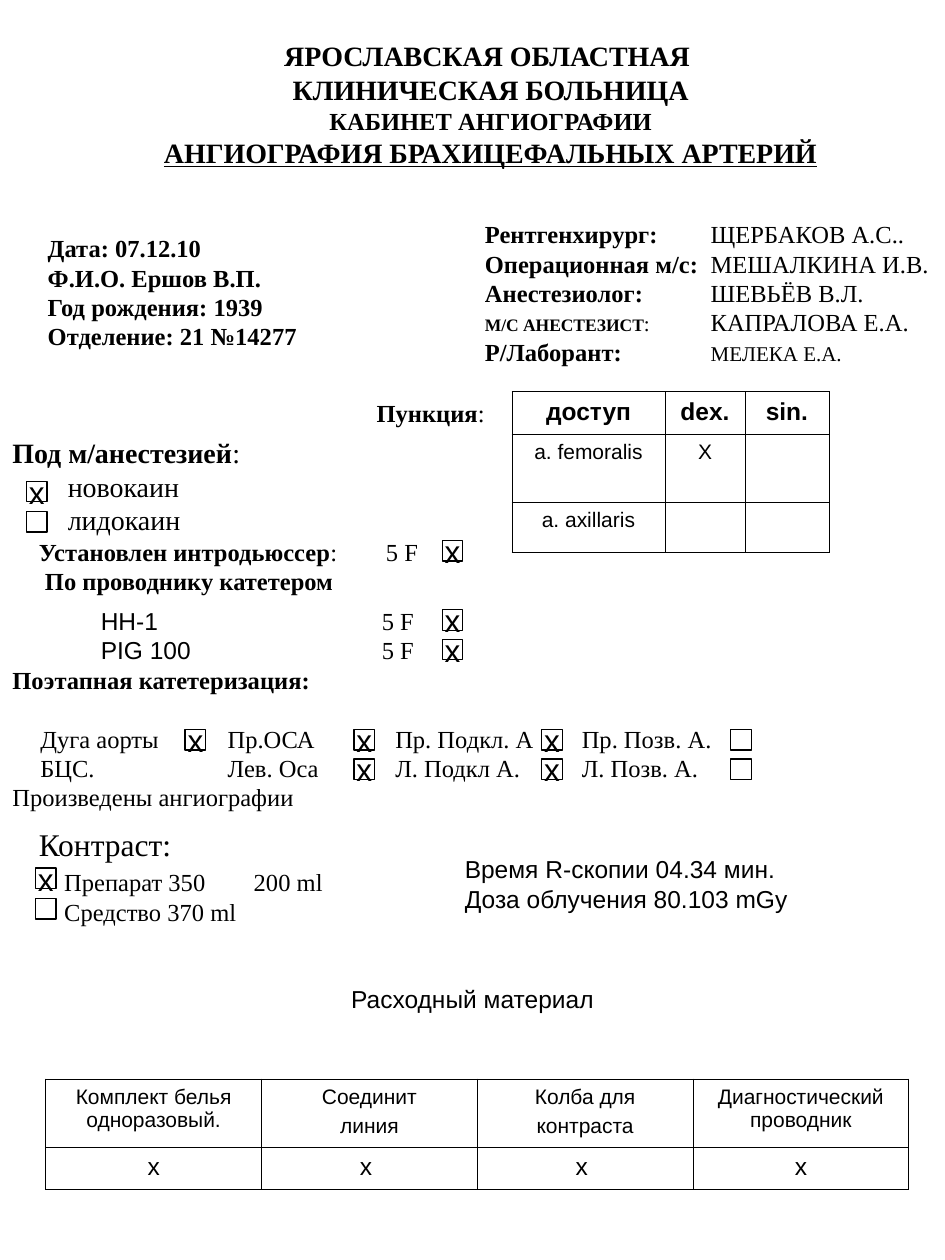
from lxml.etree import SubElement
from pptx import Presentation
from pptx.dml.color import RGBColor
from pptx.enum.shapes import MSO_SHAPE
from pptx.enum.text import MSO_ANCHOR, PP_ALIGN
from pptx.oxml.ns import qn
from pptx.util import Pt

SERIF, SANS, BLACK = "Times New Roman", "Arial", "000000"
MARK = 11.8  # side of a tick box
ROW = 16.8   # line height of 14 pt text


def color(hex_text):
    return RGBColor.from_string(hex_text)


def style(run, size, face=SERIF, bold=False):
    font = run.font
    font.size, font.name, font.bold = Pt(size), face, bold
    font.color.rgb = color(BLACK)


def set_tabs(para, stops):
    tab_list = SubElement(para._p.get_or_add_pPr(), qn("a:tabLst"))
    for stop in stops:
        SubElement(tab_list, qn("a:tab"), pos=str(Pt(stop)), algn="l")


def add_text(slide, box, lines, tabs=(), align=PP_ALIGN.LEFT):
    """Each line is a list of (text, size, face, bold) runs."""
    frame = slide.shapes.add_textbox(*map(Pt, box)).text_frame
    frame.word_wrap = True
    for i, line in enumerate(lines):
        para = frame.add_paragraph() if i else frame.paragraphs[0]
        if tabs:
            set_tabs(para, tabs)
        para.alignment = align
        para.line_spacing = Pt(1.2 * max(part[1] for part in line))
        for text, *look in line:
            run = para.add_run()
            run.text = text
            style(run, *look)
    return frame


def add_mark(slide, x, y, ticked=True):
    shape = slide.shapes.add_shape(MSO_SHAPE.RECTANGLE, Pt(x), Pt(y), Pt(MARK), Pt(MARK))
    shape.shadow.inherit = False
    shape.fill.background()
    shape.line.color.rgb = color(BLACK)
    shape.line.width = Pt(0.75)
    if ticked:
        frame = shape.text_frame
        frame.word_wrap = False
        frame.vertical_anchor = MSO_ANCHOR.MIDDLE
        frame.text = "х"
        frame.paragraphs[0].alignment = PP_ALIGN.CENTER
        style(frame.paragraphs[0].runs[0], 18, SANS)


def add_edges(cell):
    props = cell._tc.get_or_add_tcPr()
    for side in ("lnL", "lnR", "lnT", "lnB"):
        line = SubElement(props, qn(f"a:{side}"), w=str(Pt(0.45)))
        SubElement(SubElement(line, qn("a:solidFill")), qn("a:srgbClr"), val=BLACK)
    cell.fill.background()


def add_grid(slide, x, y, widths, heights, rows, sizes, bold_head=False):
    table = slide.shapes.add_table(len(heights), len(widths), Pt(x), Pt(y),
                                   Pt(sum(widths)), Pt(sum(heights))).table
    table.first_row = table.horz_banding = False
    for col, width in zip(table.columns, widths):
        col.width = Pt(width)
    for r, (height, texts) in enumerate(zip(heights, rows)):
        table.rows[r].height = Pt(height)
        for c, text in enumerate(texts):
            cell = table.cell(r, c)
            add_edges(cell)
            cell.text_frame.text = text
            for i, para in enumerate(cell.text_frame.paragraphs):
                para.alignment = PP_ALIGN.CENTER
                if i:
                    para.space_before = Pt(3)
                for run in para.runs:
                    style(run, sizes[r], SANS, bold_head and r == 0)


def add_title(slide, x, y, w, h):
    heads = [("ЯРОСЛАВСКАЯ ОБЛАСТНАЯ ", 16), ("КЛИНИЧЕСКАЯ БОЛЬНИЦА", 16),
             ("КАБИНЕТ АНГИОГРАФИИ", 14), ("АНГИОГРАФИЯ БРАХИЦЕФАЛЬНЫХ АРТЕРИЙ", 16)]
    frame = add_text(slide, (x, y, w, h), [[(text, size, SERIF, True)] for text, size in heads],
                     align=PP_ALIGN.CENTER)
    frame.paragraphs[-1].runs[0].font.underline = True


def add_people(slide, x, y, w, h):
    # Patient
    facts = ["Дата: 07.12.10", "Ф.И.О. Ершов В.П.", "Год рождения: 1939",
             "Отделение: 21 №14277"]
    add_text(slide, (x, y + 8, 238, 76), [[(fact, 14, SERIF, True)] for fact in facts])
    # Staff
    staff = [("Рентгенхирург:", 14, "ЩЕРБАКОВ А.С..", 14),
             ("Операционная м/с:", 14, "МЕШАЛКИНА И.В.", 14),
             ("Анестезиолог:", 14, "ШЕВЬЁВ В.Л.", 14),
             ("М/С АНЕСТЕЗИСТ", 10, "КАПРАЛОВА Е.А.", 14),
             ("Р/Лаборант:", 14, "МЕЛЕКА Е.А.", 12)]
    lines = []
    for role, size, name, name_size in staff:
        colon = [] if role.endswith(":") else [(":", 12)]
        lines.append([(role, size, SERIF, True), *colon, ("\t" + name, name_size)])
    add_text(slide, (x + 249.8, y, w - 249.8, h), lines, [129])


def add_access(slide, x, y, w, h):
    # Anaesthesia
    add_text(slide, (x, y + 21.5, 208, 66),
             [[("Под м/анестезией", 16, SERIF, True), (":", 16)],
              [("\tновокаин", 16)], [("\tлидокаин", 16)]], [31.7])
    add_mark(slide, x + 15.1, y + 51.1)
    add_mark(slide, x + 15.1, y + 68.4, False)
    # Puncture
    add_text(slide, (x + 208.1, y, 76.3, 24.5), [[("Пункция", 14, SERIF, True), (":", 14)]])
    add_grid(slide, x + 292.5, y, [87.6, 45.6, 48], [24.3, 38.7, 29],
             [["доступ", "dex.", "sin."], ["a. femoralis", "Х", ""], ["a. axillaris", "", ""]],
             [14, 12, 12], True)
    # Introducer
    add_text(slide, (x + 15.1, y + 79.2, 270, 41),
             [[("Установлен интродьюссер", 14, SERIF, True), (":\t5 F", 14)],
              [("\tПо проводнику катетером", 14, SERIF, True)]], [3.5, 198.3])
    add_mark(slide, x + 252.7, y + 85)


def add_stages(slide, x, y, w, h):
    # Catheters
    add_text(slide, (x, y, w, 58),
             [[("\tНН-1", 14, SANS), ("\t5 F", 14)], [("\tРIG 100", 14, SANS), ("\t5 F", 14)],
              [("Поэтапная катетеризация:", 14, SERIF, True)]], [50.5, 211.1])
    for i in range(2):
        add_mark(slide, x + 252.7, y + 5.8 + i * ROW)
    # Vessels
    add_text(slide, (x, y + 4 * ROW, w, h - 4 * ROW),
             [[("\tДуга аорты\tПр.ОСА\tПр. Подкл. А\tПр. Позв. А.", 14)],
              [("\tБЦС.\tЛев. Оса\tЛ. Подкл А.\tЛ. Позв. А.", 14)],
              [("Произведены ангиографии", 14)]], [16, 123, 218.8, 325.4])
    add_mark(slide, x + 105.8, y + 74.2)
    for i in range(2):
        for left, ticked in ((202.3, True), (309.6, True), (417.6, False)):
            add_mark(slide, x + left, y + 74.2 + i * ROW, ticked)


def add_dose(slide, x, y, w, h):
    # Contrast medium
    frame = add_text(slide, (x, y, 240, h),
                     [[("Контраст:", 18)], [("\tПрепарат 350\t200 ml", 14)],
                      [("\tСредство 370 ml", 14)]], [14.5, 122.8])
    frame.paragraphs[1].space_before = Pt(2.4)
    add_mark(slide, x + 5.1, y + 28.1)
    add_mark(slide, x + 5.1, y + 45.4, False)
    # Exposure
    add_text(slide, (x + 243.4, y + 16.6, w - 243.4, 41),
             [[("Время R-скопии 04.34 мин.", 14, SANS)],
              [("Доза облучения 80.103 mGy", 14, SANS)]])


def add_stock(slide, x, y, w, h):
    add_text(slide, (x, y, w, 24.5), [[("Расходный материал", 14, SANS)]],
             align=PP_ALIGN.CENTER)
    heads = ["Комплект белья одноразовый.", "Соединит\nлиния", "Колба для\nконтраста",
             "Диагностический проводник"]
    add_grid(slide, x + 26.2, y + h - 63, [123.3] * 4, [38.7, 24.3],
             [heads, ["х", "х ", "х ", "х"]], [12, 14])


def main():
    deck = Presentation()
    deck.slide_width, deck.slide_height = Pt(540), Pt(720)
    slide = deck.slides.add_slide(deck.slide_layouts[6])
    add_title(slide, 37.4, 18.5, 486, 106)
    add_people(slide, 20.2, 121.7, 519.8, 91.4)
    add_access(slide, 0, 223.9, 540, 120)
    add_stages(slide, 0, 342.7, 540, 142)
    add_dose(slide, 15.1, 468, 468, 82)
    add_stock(slide, 0, 558.7, 540, 120.8)
    deck.save("out.pptx")


if __name__ == "__main__":
    main()
